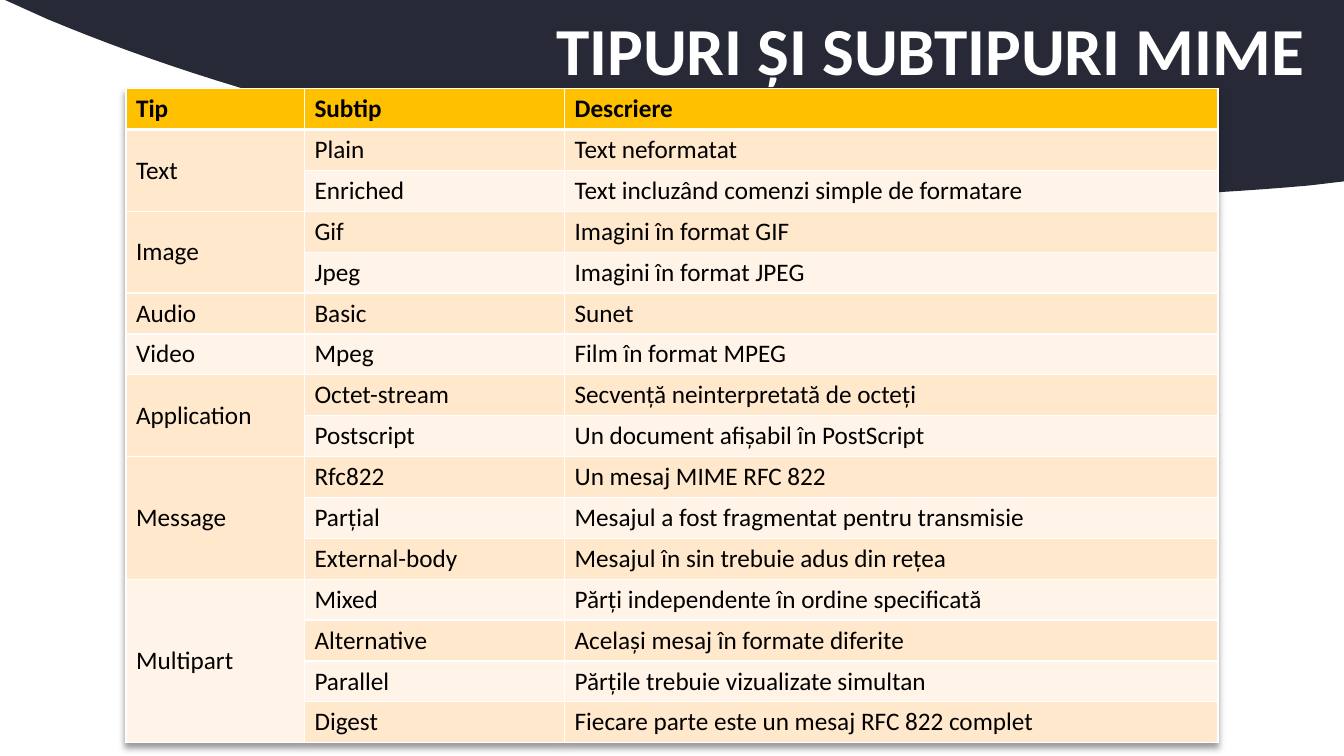
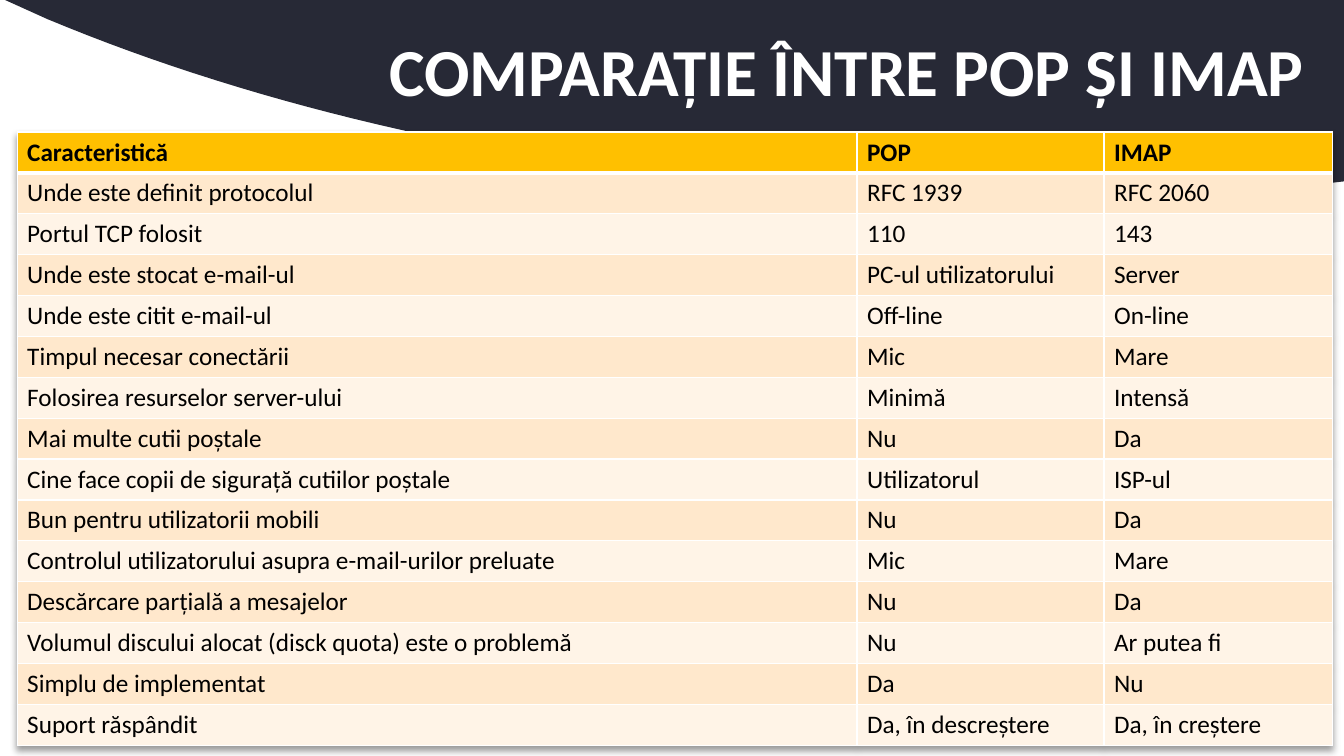
from lxml.etree import SubElement as Sub
from pptx import Presentation
from pptx.dml.color import RGBColor as Rgb
from pptx.enum.text import MSO_ANCHOR as Anchor, MSO_AUTO_SIZE as Auto, PP_ALIGN as Align
from pptx.oxml import parse_xml
from pptx.oxml.ns import nsdecls, qn
from pptx.util import Inches, Pt

FONT = "Calibri"
WHITE, BLACK, NAVY, GOLD = "FFFFFF", "000000", "272936", "FFC000"
BANDS = ("FFF4E7", "FFE8CC")
SHADOW = (
    f'<a:effectLst {nsdecls("a")}>'
    '<a:outerShdw blurRad="50800" dist="38100" dir="5400000" algn="t" rotWithShape="0">'
    '<a:srgbClr val="000000"><a:alpha val="40000"/></a:srgbClr>'
    '</a:outerShdw></a:effectLst>'
)

MIME = (
    ("Tip", "Subtip", "Descriere"),
    ("Text", "Plain", "Text neformatat"),
    ("", "Enriched", "Text incluzând comenzi simple de formatare"),
    ("Image", "Gif", "Imagini în format GIF"),
    ("", "Jpeg", "Imagini în format JPEG"),
    ("Audio", "Basic", "Sunet"),
    ("Video", "Mpeg", "Film în format MPEG"),
    ("Application", "Octet-stream", "Secvență neinterpretată de octeți"),
    ("", "Postscript", "Un document afișabil în PostScript"),
    ("Message", "Rfc822", "Un mesaj MIME RFC 822"),
    ("", "Parțial", "Mesajul a fost fragmentat pentru transmisie"),
    ("", "External-body", "Mesajul în sin trebuie adus din rețea"),
    ("Multipart", "Mixed", "Părți independente în ordine specificată"),
    ("", "Alternative", "Același mesaj în formate diferite"),
    ("", "Parallel", "Părțile trebuie vizualizate simultan"),
    ("", "Digest", "Fiecare parte este un mesaj RFC 822 complet"),
)
MAIL = (
    ("Caracteristică", "POP", "IMAP"),
    ("Unde este definit protocolul", "RFC 1939", "RFC 2060"),
    ("Portul TCP folosit", "110", "143"),
    ("Unde este stocat e-mail-ul", "PC-ul utilizatorului", "Server"),
    ("Unde este citit e-mail-ul", "Off-line", "On-line"),
    ("Timpul necesar conectării", "Mic", "Mare"),
    ("Folosirea resurselor server-ului", "Minimă", "Intensă"),
    ("Mai multe cutii poștale", "Nu", "Da"),
    ("Cine face copii de sigurață cutiilor poștale", "Utilizatorul", "ISP-ul"),
    ("Bun pentru utilizatorii mobili", "Nu", "Da"),
    ("Controlul utilizatorului asupra e-mail-urilor preluate", "Mic", "Mare"),
    ("Descărcare parțială a mesajelor", "Nu", "Da"),
    ("Volumul discului alocat (disck quota) este o problemă", "Nu", "Ar putea fi"),
    ("Simplu de implementat", "Da", "Nu"),
    ("Suport răspândit", "Da, în descreștere", "Da, în creștere"),
)


def color(code):
    return Rgb.from_string(code)


def style(para, size, code, bold):
    for run in para.runs:
        font = run.font
        font.name, font.size, font.bold = FONT, Pt(size), bold
        font.color.rgb = color(code)


def curve(start, pull, push, end, steps=40):
    for step in range(1, steps + 1):
        t = step / steps
        u = 1 - t
        yield tuple(
            u**3 * a + 3 * u * u * t * b + 3 * u * t * t * c + t**3 * d
            for a, b, c, d in zip(start, pull, push, end)
        )


def wave(slide):
    edge, low, tip = (12.99, 1.84), (10.26, 1.96), (0.47, 0.19)
    points = [
        (13.33, 0), (13.33, 1.8), edge,
        *curve(edge, (12.1, 1.92), (11.19, 1.96), low),
        *curve(low, (6.54, 1.96), (3.13, 1.3), tip),
    ]
    pen = slide.shapes.build_freeform(Inches(0.05), 0)
    pen.add_line_segments([(Inches(x), Inches(y)) for x, y in points])
    shape = pen.convert_to_shape()
    shape.shadow.inherit = False
    shape.fill.solid()
    shape.fill.fore_color.rgb = color(NAVY)
    shape.line.fill.background()
    slide.slide_layout.shapes.element.insert(2, shape.element)


def head(slide, text, box):
    title = slide.shapes.title
    title.left, title.top, title.width, title.height = map(Inches, box)
    frame = title.text_frame
    frame.text = text
    frame.word_wrap, frame.auto_size = True, Auto.NONE
    frame.vertical_anchor = Anchor.MIDDLE
    frame.margin_left, frame.margin_right = Inches(0.1), Inches(0.4)
    para = frame.paragraphs[0]
    para.alignment, para.line_spacing = Align.RIGHT, 0.9
    style(para, 48, WHITE, True)


def border(cell, row):
    props = cell._tc.get_or_add_tcPr()
    wide = {"lnT": 3 if row == 1 else 1, "lnB": 1 if row else 3}
    for spot, side in enumerate(("lnL", "lnR", "lnT", "lnB")):
        line = Sub(props, qn(f"a:{side}"), w=str(Pt(wide.get(side, 1))))
        fill = Sub(line, qn("a:solidFill"))
        Sub(fill, qn("a:srgbClr"), val=WHITE)
        props.insert(spot, line)


def merge(table, rows):
    starts = [i for i, row in enumerate(rows) if row[0]] + [len(rows)]
    for top, end in zip(starts, starts[1:]):
        if end - top > 1:
            cell = table.cell(top, 0)
            cell.merge(table.cell(end - 1, 0))
            cell.vertical_anchor = Anchor.MIDDLE


def grid(slide, rows, box, widths):
    area = map(Inches, box)
    table = slide.shapes.add_table(len(rows), len(widths), *area).table
    table._tbl.tblPr.insert(0, parse_xml(SHADOW))
    for col, width in zip(table.columns, widths):
        col.width = Inches(width)
    for i, row in enumerate(rows):
        table.rows[i].height = Inches(box[3] / len(rows))
        for j, text in enumerate(row):
            cell = table.cell(i, j)
            cell.text_frame.text = text
            cell.fill.solid()
            cell.fill.fore_color.rgb = color(BANDS[i % 2] if i else GOLD)
            border(cell, i)
            style(cell.text_frame.paragraphs[0], 18, BLACK, i == 0)
    merge(table, rows)


def page(deck, text, space, rows, box, widths):
    slide = deck.slides.add_slide(deck.slide_layouts[5])
    head(slide, text, space)
    grid(slide, rows, box, widths)
    return slide


def main():
    deck = Presentation()
    deck.slide_width, deck.slide_height = Inches(13.33), Inches(7.5)
    first = page(deck, "TIPURI ȘI SUBTIPURI MIME", (0.92, 0.02, 12.42, 1.02),
                 MIME, (1.25, 0.88, 10.84, 6.49), (1.77, 2.58, 6.48))
    wave(first)
    page(deck, "COMPARAȚIE ÎNTRE POP ȘI IMAP", (0.92, 0.02, 12.42, 1.45),
         MAIL, (0.17, 1.31, 13.05, 6.08), (8.33, 2.45, 2.27))
    deck.save("out.pptx")


if __name__ == "__main__":
    main()
